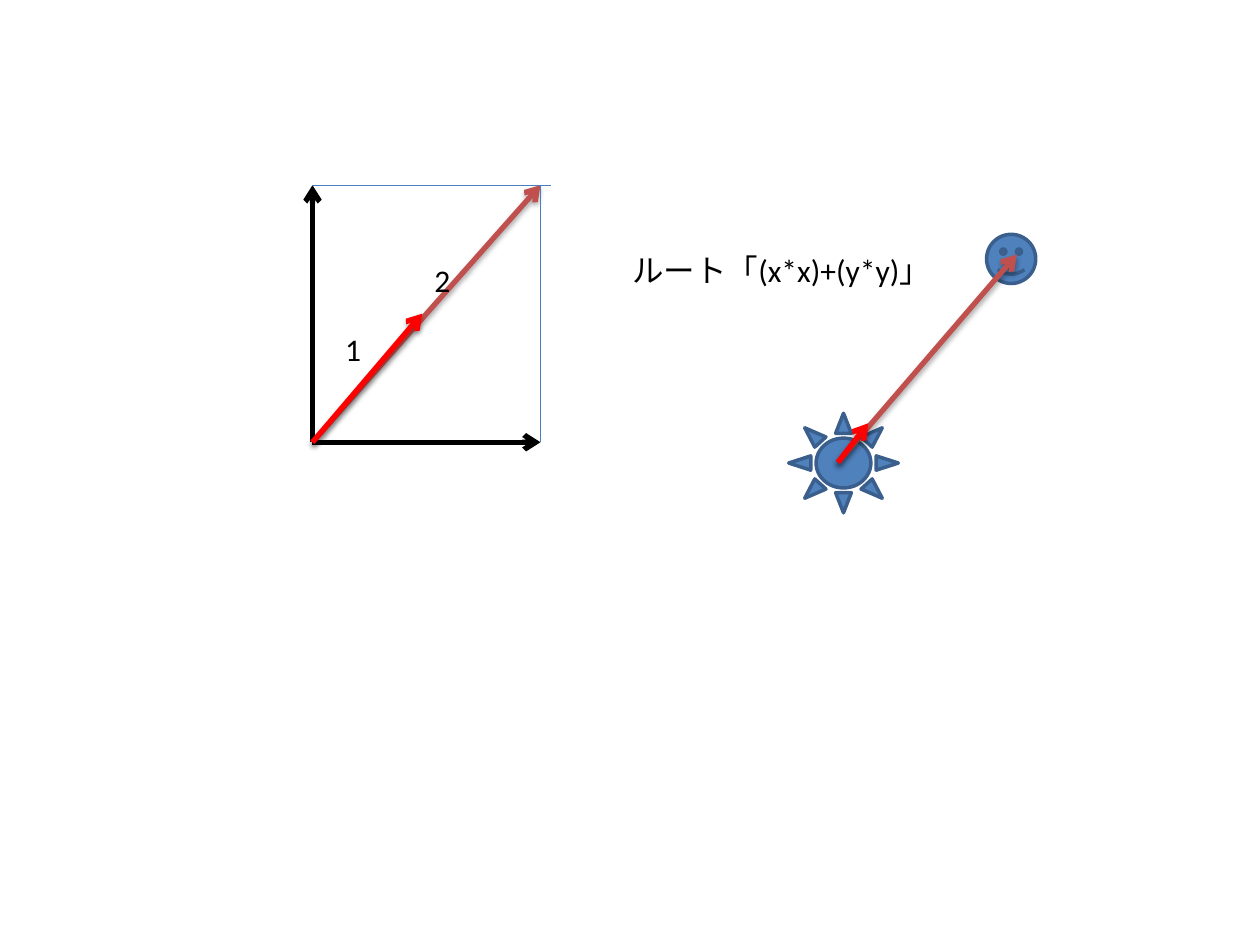
from dataclasses import dataclass

from lxml import etree
from pptx import Presentation
from pptx.dml.color import RGBColor
from pptx.enum.shapes import MSO_CONNECTOR, MSO_SHAPE
from pptx.enum.text import MSO_AUTO_SIZE
from pptx.oxml.ns import qn
from pptx.util import Inches, Pt

LINE = MSO_CONNECTOR.STRAIGHT
SMILE = MSO_SHAPE.SMILEY_FACE
SUN = MSO_SHAPE.SUN
FIT = MSO_AUTO_SIZE.SHAPE_TO_FIT_TEXT
FONT = "Calibri"
COLORS = {
    "black": "000000",
    "red": "FF0000",
    "brick": "C0504D",
    "guide": "4B7EBC",
    "fill": "4F81BD",
    "edge": "3A5F8C",
}
Point = tuple[float, float]


@dataclass
class Stroke:
    start: Point
    end: Point
    color: str
    width: float = 3
    arrow: bool = True
    shade: bool = False


@dataclass
class Label:
    text: str
    left: float
    top: float
    width: float
    wrap: bool = False


@dataclass
class Icon:
    kind: MSO_SHAPE
    left: float
    top: float
    width: float
    height: float


def tint(name: str) -> RGBColor:
    return RGBColor.from_string(COLORS[name])


def add_shade(effects) -> None:
    outer = etree.SubElement(
        effects, qn("a:outerShdw"), blurRad=str(Pt(3.1)),
        dist=str(Pt(1.8)), dir="5400000", rotWithShape="0")
    color = etree.SubElement(outer, qn("a:srgbClr"), val=COLORS["black"])
    etree.SubElement(color, qn("a:alpha"), val="35000")


def draw_stroke(slide, item: Stroke) -> None:
    ends = [Inches(n) for n in item.start + item.end]
    line = slide.shapes.add_connector(LINE, *ends)
    line.line.color.rgb = tint(item.color)
    line.line.width = Pt(item.width)
    props = line.element.find(qn("p:spPr"))
    if item.arrow:
        etree.SubElement(props.find(qn("a:ln")), qn("a:tailEnd"), type="arrow")
    effects = etree.SubElement(props, qn("a:effectLst"))
    if item.shade:
        add_shade(effects)


def draw_label(slide, item: Label) -> None:
    box = slide.shapes.add_textbox(
        Inches(item.left), Inches(item.top), Inches(item.width), Inches(0.4))
    frame = box.text_frame
    frame.word_wrap = item.wrap
    frame.auto_size = FIT
    run = frame.paragraphs[0].add_run()
    run.text = item.text
    run.font.name = FONT
    run.font.size = Pt(18)
    run.font.color.rgb = tint("black")


def draw_icon(slide, item: Icon) -> None:
    icon = slide.shapes.add_shape(
        item.kind, Inches(item.left), Inches(item.top),
        Inches(item.width), Inches(item.height))
    icon.shadow.inherit = False
    icon.fill.solid()
    icon.fill.fore_color.rgb = tint("fill")
    icon.line.color.rgb = tint("edge")
    icon.line.width = Pt(2)


LEFT, RIGHT, TOP, BASE = 2.48, 4.29, 1.47, 3.51
ORIGIN, CORNER = (LEFT, BASE), (RIGHT, TOP)
CORE = (6.65, 3.67)

GRAPH = [
    Stroke(ORIGIN, (LEFT, TOP), "black"),
    Stroke(ORIGIN, CORNER, "brick", shade=True),
    Stroke((LEFT, TOP), (4.37, TOP), "guide", 0.75, False),
    Stroke(CORNER, (RIGHT, BASE), "guide", 0.75, False),
    Stroke(ORIGIN, (RIGHT, BASE), "black"),
    Stroke(ORIGIN, (3.35, 2.49), "red", shade=True),
]
LABELS = [
    Label("ルート「(x*x)+(y*y)」", 4.92, 1.94, 2.99, True),
    Label("2", 3.35, 2.02, 0.33),
    Label("1", 2.64, 2.57, 0.33),
]
ICONS = [
    Icon(SMILE, 7.83, 1.86, 0.39, 0.39),
    Icon(SUN, 6.26, 3.28, 0.87, 0.79),
]
AIMS = [
    Stroke(CORE, (8.07, 2.02), "brick", shade=True),
    Stroke(CORE, (6.89, 3.36), "red", shade=True),
]

deck = Presentation()
deck.slide_width, deck.slide_height = Inches(10), Inches(7.5)
slide = deck.slides.add_slide(deck.slide_layouts[6])
for group, draw in (
    (GRAPH, draw_stroke),
    (LABELS, draw_label),
    (ICONS, draw_icon),
    (AIMS, draw_stroke),
):
    for item in group:
        draw(slide, item)
deck.save("out.pptx")
